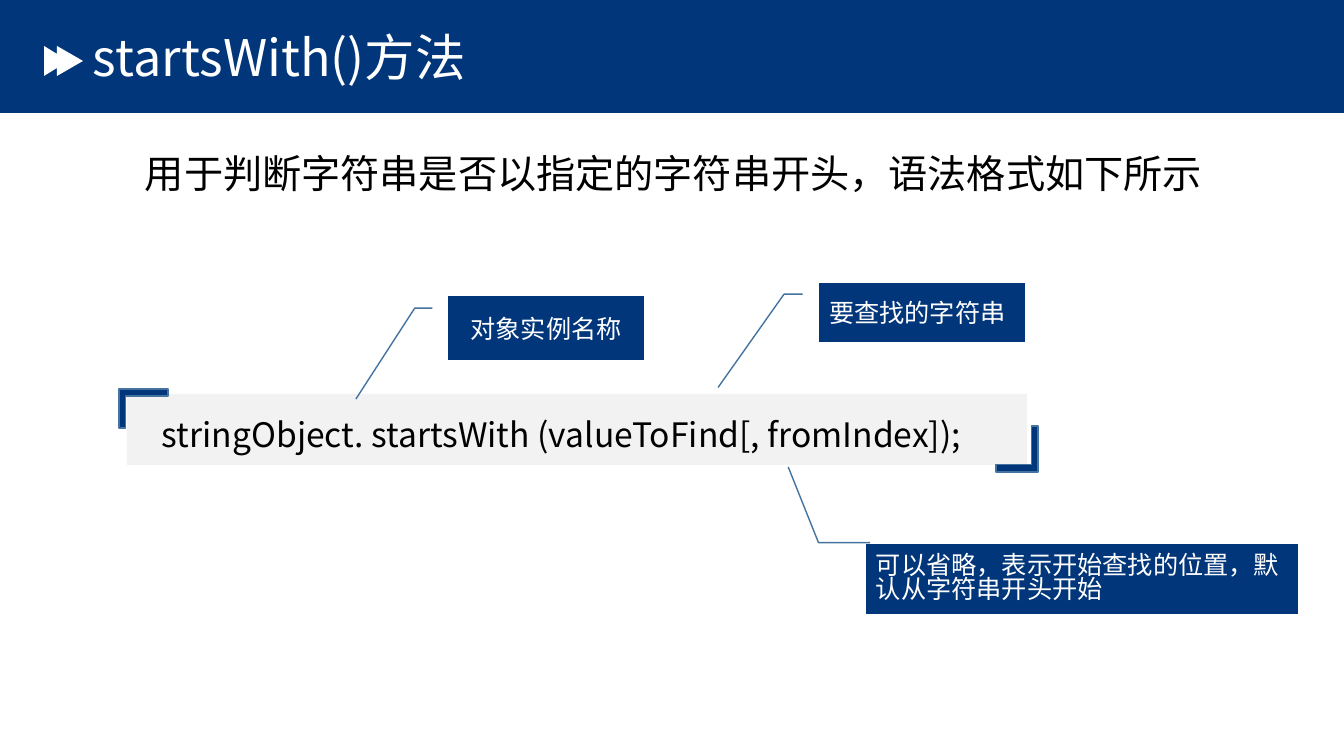
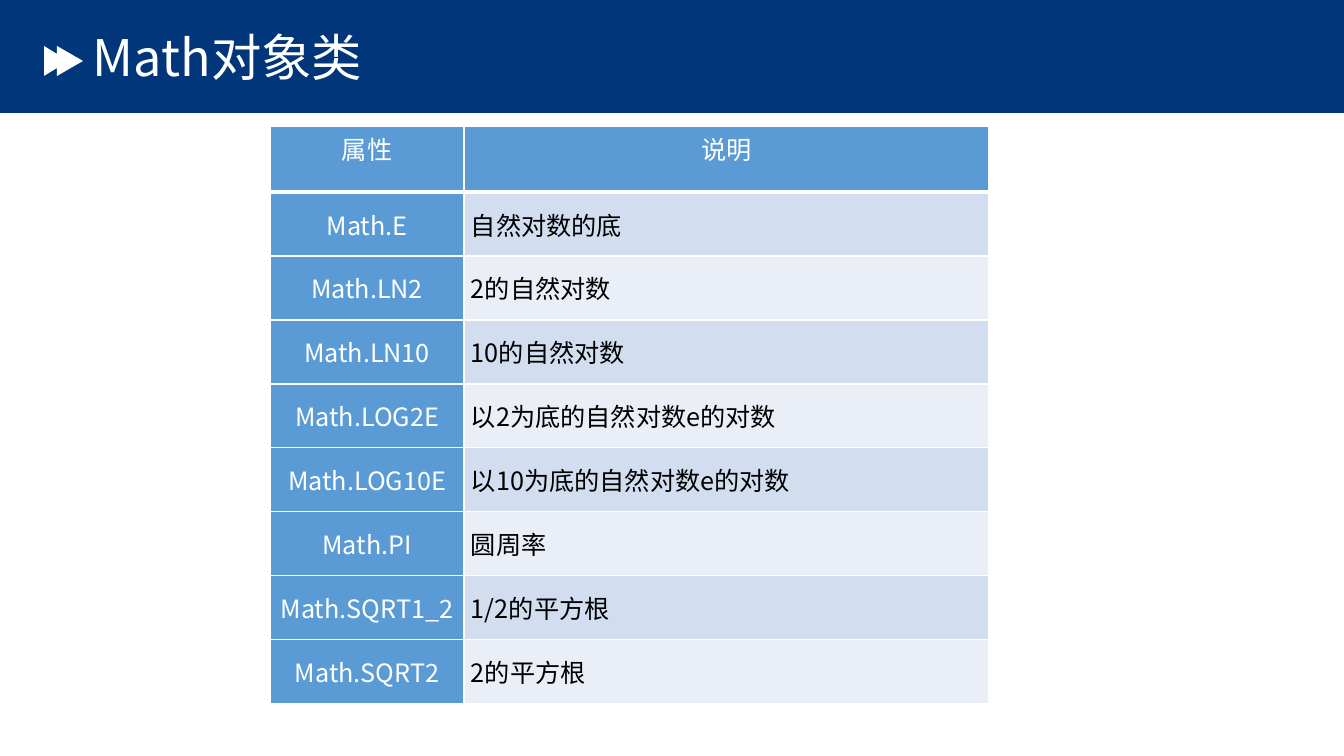
from typing import NamedTuple, Optional

from lxml import etree
from pptx import Presentation
from pptx import presentation as pres
from pptx import util as u
from pptx.dml.color import RGBColor
from pptx.enum import shapes, text
from pptx.oxml import ns
from pptx.shapes.autoshape import Shape
from pptx.slide import Slide
from pptx.table import _Cell
from pptx.text.text import TextFrame

SLIDE_WIDTH, SLIDE_HEIGHT = 1344, 756
EMU_PER_PX = u.Inches(7.5) / SLIDE_HEIGHT

NAVY = RGBColor(0x01, 0x36, 0x7A)
STEEL = RGBColor(0x43, 0x73, 0x9E)
BLUE = RGBColor(0x5B, 0x9B, 0xD5)
BAND_DARK = RGBColor(0xD2, 0xDE, 0xEF)
BAND_LIGHT = RGBColor(0xEA, 0xEF, 0xF7)
PALE_GREY = RGBColor(0xF2, 0xF2, 0xF2)
WHITE = RGBColor(0xFF, 0xFF, 0xFF)
BLACK = RGBColor(0x00, 0x00, 0x00)

FONT = "Noto Sans CJK SC"
LEFT, CENTER = text.PP_ALIGN.LEFT, text.PP_ALIGN.CENTER
TOP, MIDDLE = text.MSO_ANCHOR.TOP, text.MSO_ANCHOR.MIDDLE


class Box(NamedTuple):
    left: int
    top: int
    width: int
    height: int


class Callout(NamedTuple):
    words: str
    box: Box
    leader: tuple[float, ...]
    align: text.PP_ALIGN = LEFT
    spacing: float = 1.0


class Corner(NamedTuple):
    box: Box
    rotation: int


TITLE_BOX = Box(83, 27, 814, 66)
BAND_BOX = Box(0, 0, SLIDE_WIDTH, 113)
ARROW_POINTS = [(44, 46), (57, 54), (57, 46), (83, 61), (57, 76), (57, 68), (44, 76)]

CORNERS = [
    Corner(Box(124, 384, 39, 49), 90),
    Corner(Box(994, 428, 46, 42), 270),
]
CALLOUTS = [
    Callout("对象实例名称", Box(448, 296, 196, 64),
            (0.19, -0.08, 0.19, -0.17, 1.61, -0.47), CENTER),
    Callout("要查找的字符串", Box(819, 283, 206, 59),
            (0.19, -0.08, 0.19, -0.17, 1.77, -0.49)),
    Callout("可以省略，表示开始查找的位置，默认从字符串开头开始", Box(866, 544, 432, 70),
            (-0.02, 0.01, -0.02, -0.11, -1.1, -0.18), spacing=0.82),
]

TABLE_LEFT, TABLE_TOP = 270, 126
COLUMN_WIDTHS = (194, 525)
HEADER_HEIGHT, ROW_HEIGHT = 66, 64
MATH_ROWS = [
    ("属性", "说明"),
    ("Math.E", "自然对数的底"),
    ("Math.LN2", "2的自然对数"),
    ("Math.LN10", "10的自然对数"),
    ("Math.LOG2E", "以2为底的自然对数e的对数"),
    ("Math.LOG10E", "以10为底的自然对数e的对数"),
    ("Math.PI", "圆周率"),
    ("Math.SQRT1_2", "1/2的平方根"),
    ("Math.SQRT2", "2的平方根"),
]


def px(length: int) -> u.Emu:
    return u.Emu(round(length * EMU_PER_PX))


def place(box: Box) -> tuple[u.Emu, ...]:
    return tuple(px(length) for length in box)


def write(frame: TextFrame, words: str, *, size: int, color: RGBColor,
          align: text.PP_ALIGN = LEFT, spacing: float | u.Length = 1.0,
          around: float = 0) -> None:
    para = frame.paragraphs[0]
    para.alignment = align
    para.line_spacing = spacing
    para.space_before = para.space_after = u.Pt(around)
    span = para.add_run()
    span.text = words
    span.font.size = u.Pt(size)
    span.font.bold = False
    span.font.name = FONT
    span.font.color.rgb = color
    east_asian = etree.SubElement(span.font._element, ns.qn("a:ea"))
    east_asian.set("typeface", FONT)


def set_frame(frame: TextFrame, anchor: text.MSO_ANCHOR,
              left: int = 10, top: int = 5) -> None:
    frame.word_wrap = True
    frame.auto_size = text.MSO_AUTO_SIZE.NONE
    frame.vertical_anchor = anchor
    frame.margin_left, frame.margin_top = px(left), px(top)


def paint(shape: Shape, fill: RGBColor, line: Optional[RGBColor] = None) -> None:
    shape.shadow.inherit = False
    shape.fill.solid()
    shape.fill.fore_color.rgb = fill
    if line is None:
        shape.line.fill.background()
    else:
        shape.line.color.rgb = line
        shape.line.width = u.Pt(1)


def add_box(page: Slide, kind: shapes.MSO_SHAPE, box: Box, fill: RGBColor,
            line: Optional[RGBColor] = None) -> Shape:
    shape = page.shapes.add_shape(kind, *place(box))
    paint(shape, fill, line)
    return shape


def add_page(deck: pres.Presentation, words: str) -> Slide:
    page = deck.slides.add_slide(deck.slide_layouts[5])
    title = page.shapes.title
    title.left, title.top, title.width, title.height = place(TITLE_BOX)
    set_frame(title.text_frame, MIDDLE)
    write(title.text_frame, words, size=36, color=WHITE, spacing=0.9)

    band = add_box(page, shapes.MSO_SHAPE.RECTANGLE, BAND_BOX, NAVY)
    outline = page.shapes.build_freeform(*ARROW_POINTS[0], scale=EMU_PER_PX)
    outline.add_line_segments(ARROW_POINTS[1:], close=True)
    arrow = outline.convert_to_shape()
    paint(arrow, WHITE)
    for shape in (band, arrow):
        title.element.addprevious(shape.element)
    return page


def add_callout(page: Slide, callout: Callout) -> None:
    shape = add_box(page, shapes.MSO_SHAPE.LINE_CALLOUT_2_NO_BORDER,
                    callout.box, NAVY, STEEL)
    for index, value in enumerate(callout.leader):
        shape.adjustments[index] = value
    set_frame(shape.text_frame, MIDDLE)
    write(shape.text_frame, callout.words, size=18, color=WHITE,
          align=callout.align, spacing=callout.spacing)


def add_corner(page: Slide, corner: Corner) -> None:
    shape = add_box(page, shapes.MSO_SHAPE.CORNER, corner.box, NAVY, STEEL)
    shape.adjustments[0], shape.adjustments[1] = 0.16, 0.18
    shape.rotation = corner.rotation


def set_borders(cell: _Cell, top: int, bottom: int) -> None:
    properties = cell._tc.get_or_add_tcPr()
    for side, width in (("L", 1), ("R", 1), ("T", top), ("B", bottom)):
        line = etree.SubElement(properties, ns.qn(f"a:ln{side}"), w=str(u.Pt(width)))
        fill = etree.SubElement(line, ns.qn("a:solidFill"))
        etree.SubElement(fill, ns.qn("a:srgbClr"), val=str(WHITE))


def fill_cell(cell: _Cell, words: str, row: int, column: int) -> None:
    header = row == 0
    accent = header or column == 0
    set_borders(cell, top=3 if row == 1 else 1, bottom=3 if header else 1)
    cell.fill.solid()
    cell.fill.fore_color.rgb = BLUE if accent else (BAND_LIGHT, BAND_DARK)[row % 2]
    cell.vertical_anchor = MIDDLE
    cell.margin_left = cell.margin_right = px(7)
    cell.margin_top = cell.margin_bottom = 0
    write(cell.text_frame, words, size=18, color=WHITE if accent else BLACK,
          align=CENTER if accent else LEFT,
          spacing=u.Pt(11) if header else 1.0, around=2.4 if header else 0.7)


def build_starts_with(deck: pres.Presentation) -> None:
    page = add_page(deck, "startsWith()方法")
    intro = page.shapes.add_textbox(*place(Box(83, 127, 1236, 518))).text_frame
    set_frame(intro, TOP, left=62, top=22)
    write(intro, "用于判断字符串是否以指定的字符串开头，语法格式如下所示", size=28, color=BLACK)

    syntax = add_box(page, shapes.MSO_SHAPE.RECTANGLE, Box(127, 394, 900, 71), PALE_GREY)
    set_frame(syntax.text_frame, TOP, left=35, top=20)
    syntax.text_frame.margin_bottom = 0
    write(syntax.text_frame, "stringObject. startsWith (valueToFind[, fromIndex]);",
          size=24, color=BLACK)
    for corner in CORNERS:
        add_corner(page, corner)
    for callout in CALLOUTS:
        add_callout(page, callout)


def build_math(deck: pres.Presentation) -> None:
    page = add_page(deck, "Math对象类")
    heights = [HEADER_HEIGHT] + [ROW_HEIGHT] * (len(MATH_ROWS) - 1)
    box = Box(TABLE_LEFT, TABLE_TOP, sum(COLUMN_WIDTHS), sum(heights))
    table = page.shapes.add_table(len(heights), len(COLUMN_WIDTHS), *place(box)).table
    for column, width in zip(table.columns, COLUMN_WIDTHS):
        column.width = px(width)
    for row, (height, entries) in enumerate(zip(heights, MATH_ROWS)):
        table.rows[row].height = px(height)
        for column, words in enumerate(entries):
            fill_cell(table.cell(row, column), words, row, column)


def main() -> None:
    deck = Presentation()
    deck.slide_width, deck.slide_height = px(SLIDE_WIDTH), px(SLIDE_HEIGHT)
    build_starts_with(deck)
    build_math(deck)
    deck.save("out.pptx")


if __name__ == "__main__":
    main()
